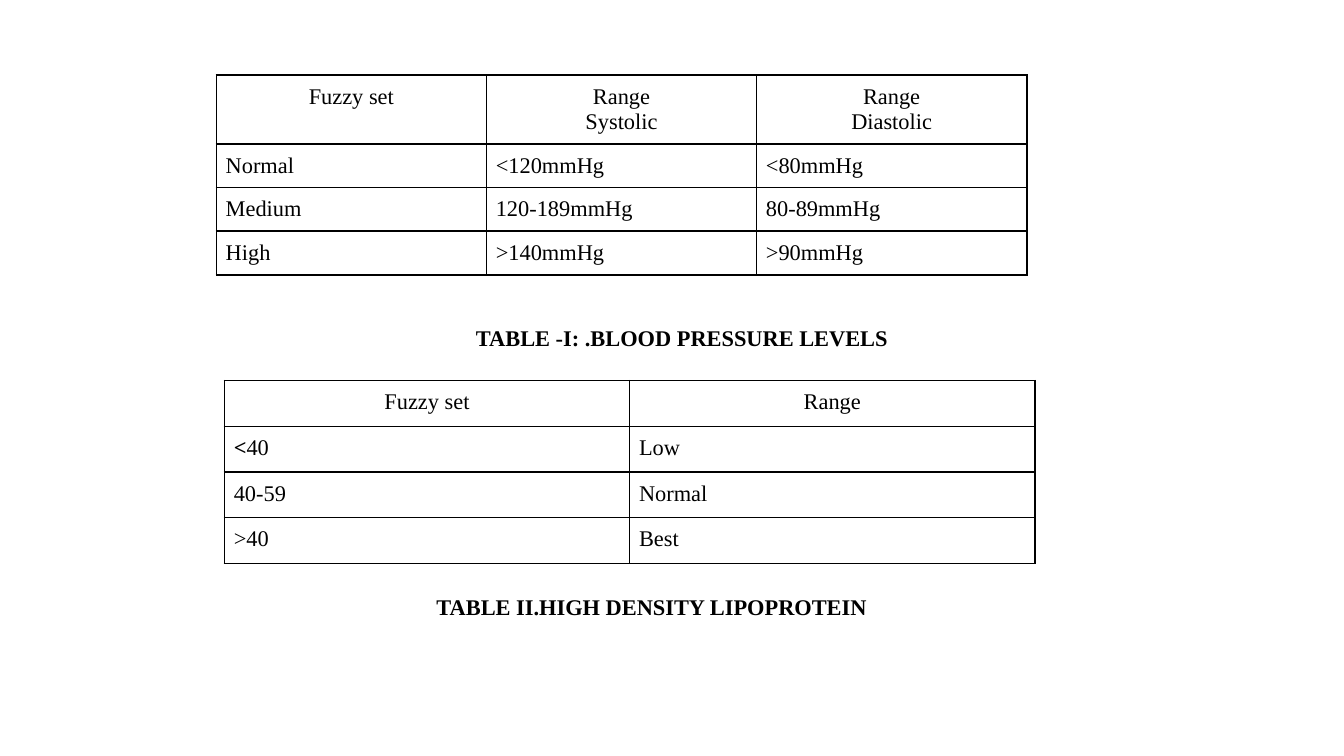
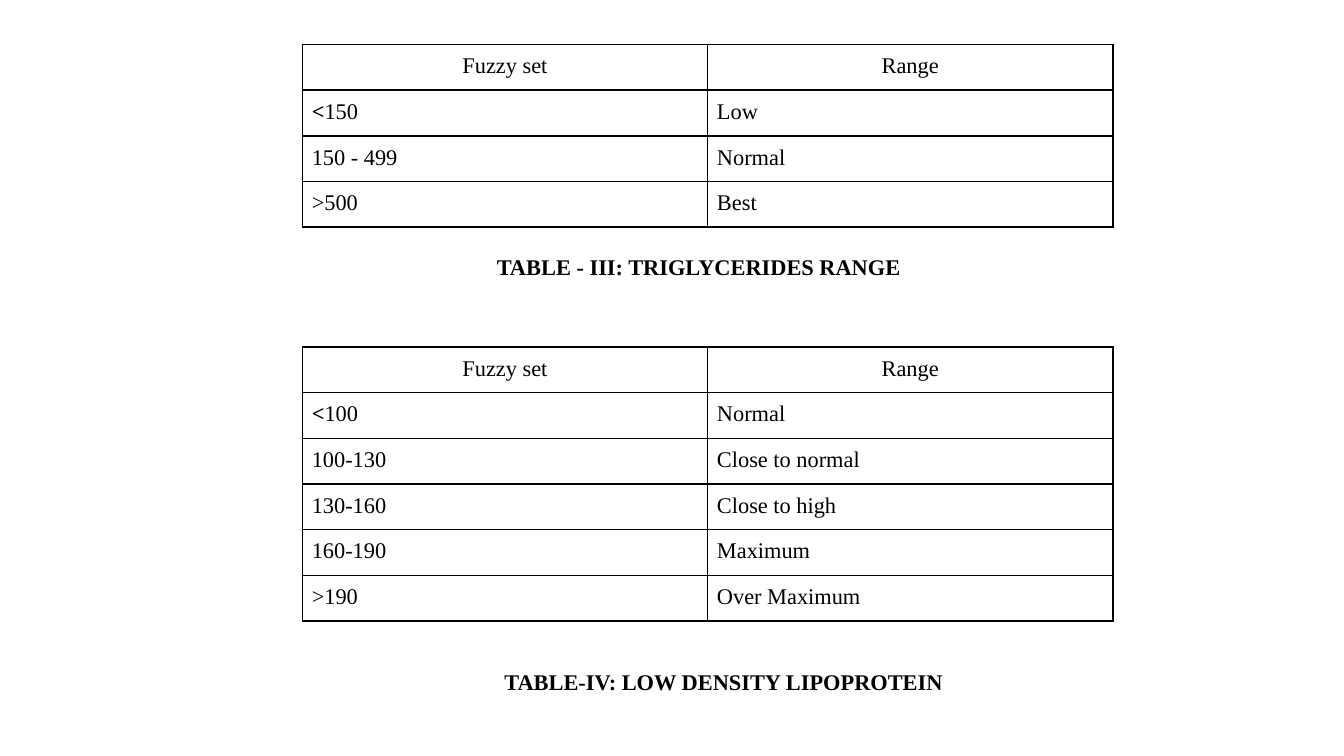
"""Build two slides of fuzzy set tables with their captions."""
from lxml.etree import SubElement as Sub
from pptx import Presentation
from pptx.dml.color import RGBColor
from pptx.enum.text import MSO_ANCHOR as Anchor, PP_ALIGN as Align
from pptx.oxml.ns import qn
from pptx.util import Inches, Pt

INK = RGBColor(0x00, 0x00, 0x00)
FONT = "Times New Roman"
SIZE = Pt(12)
EDGE = Pt(1)
PAD = Inches(0.07)
GRID = 100
LINE = 3.28
GAP = 2.48
SPAN = 60.3
HEAD = ["Fuzzy set", "Range"]


class Deck:
    def __init__(self):
        self.prs = Presentation()
        self.prs.slide_width = Inches(10)
        self.prs.slide_height = Inches(5.625)
        self.slide = None

    def add(self):
        self.slide = self.prs.slides.add_slide(self.prs.slide_layouts[6])

    def col(self, n):
        return round(self.prs.slide_width * n / GRID)

    def row(self, n):
        return round(self.prs.slide_height * n / GRID)

    def words(self, frame, text, align, bold=False):
        for i, line in enumerate(text.split("\n")):
            para = frame.add_paragraph() if i else frame.paragraphs[0]
            para.alignment = align
            for j, part in enumerate(line.split("**")):
                if part:
                    run = para.add_run()
                    run.text = part
                    run.font.name = FONT
                    run.font.size = SIZE
                    run.font.bold = bold or j % 2 == 1
                    run.font.color.rgb = INK

    def border(self, cell):
        props = cell._tc.get_or_add_tcPr()
        for side in ("lnL", "lnR", "lnT", "lnB"):
            line = Sub(props, qn(f"a:{side}"), w=str(int(EDGE)))
            fill = Sub(line, qn("a:solidFill"))
            Sub(fill, qn("a:srgbClr"), val=str(INK))
        cell.fill.background()

    def table(self, x, y, rows):
        tall = [GAP + LINE * max(t.count("\n") + 1 for t in r) for r in rows]
        wide = len(rows[0])
        table = self.slide.shapes.add_table(
            len(rows), wide, self.col(x), self.row(y),
            self.col(SPAN), self.row(sum(tall))).table
        table.first_row = table.horz_banding = False
        for col in table.columns:
            col.width = self.col(SPAN / wide)
        for i, texts in enumerate(rows):
            table.rows[i].height = self.row(tall[i])
            for j, text in enumerate(texts):
                cell = table.cell(i, j)
                cell.margin_left = cell.margin_right = PAD
                cell.margin_top = cell.margin_bottom = PAD
                self.border(cell)
                self.words(cell.text_frame, text, Align.LEFT if i else Align.CENTER)

    def caption(self, x, y, text, wide=50, tall=7):
        box = self.slide.shapes.add_textbox(
            self.col(x - wide / 2), self.row(y - tall / 2),
            self.col(wide), self.row(tall))
        frame = box.text_frame
        frame.word_wrap = True
        frame.vertical_anchor = Anchor.MIDDLE
        self.words(frame, text, Align.CENTER, True)


def main():
    deck = Deck()

    deck.add()
    deck.table(16.1, 9.95, [
        ["Fuzzy set", "Range\nSystolic", "Range\nDiastolic"],
        ["Normal", "<120mmHg", "<80mmHg"],
        ["Medium", "120-189mmHg", "80-89mmHg"],
        ["High", ">140mmHg", ">90mmHg"],
    ])
    deck.caption(50.75, 44.6, "TABLE -I: .BLOOD PRESSURE LEVELS")
    deck.table(16.7, 50.35, [
        HEAD, ["**<**40", "Low"], ["40-59", "Normal"], [">40", "Best"],
    ])
    deck.caption(48.5, 80.3, "TABLE II.HIGH DENSITY LIPOPROTEIN")

    deck.add()
    deck.table(22.5, 5.9, [
        HEAD, ["**<**150", "Low"], ["150 - 499", "Normal"], [">500", "Best"],
    ])
    deck.caption(52, 35.3, "TABLE - III: TRIGLYCERIDES RANGE")
    deck.table(22.5, 45.9, [
        HEAD,
        ["**<**100", "Normal"],
        ["100-130", "Close to normal"],
        ["130-160", "Close to high"],
        ["160-190", "Maximum"],
        [">190", "Over Maximum"],
    ])
    deck.caption(53.85, 90.1, "TABLE-IV: LOW DENSITY LIPOPROTEIN")

    deck.prs.save("out.pptx")


if __name__ == "__main__":
    main()
